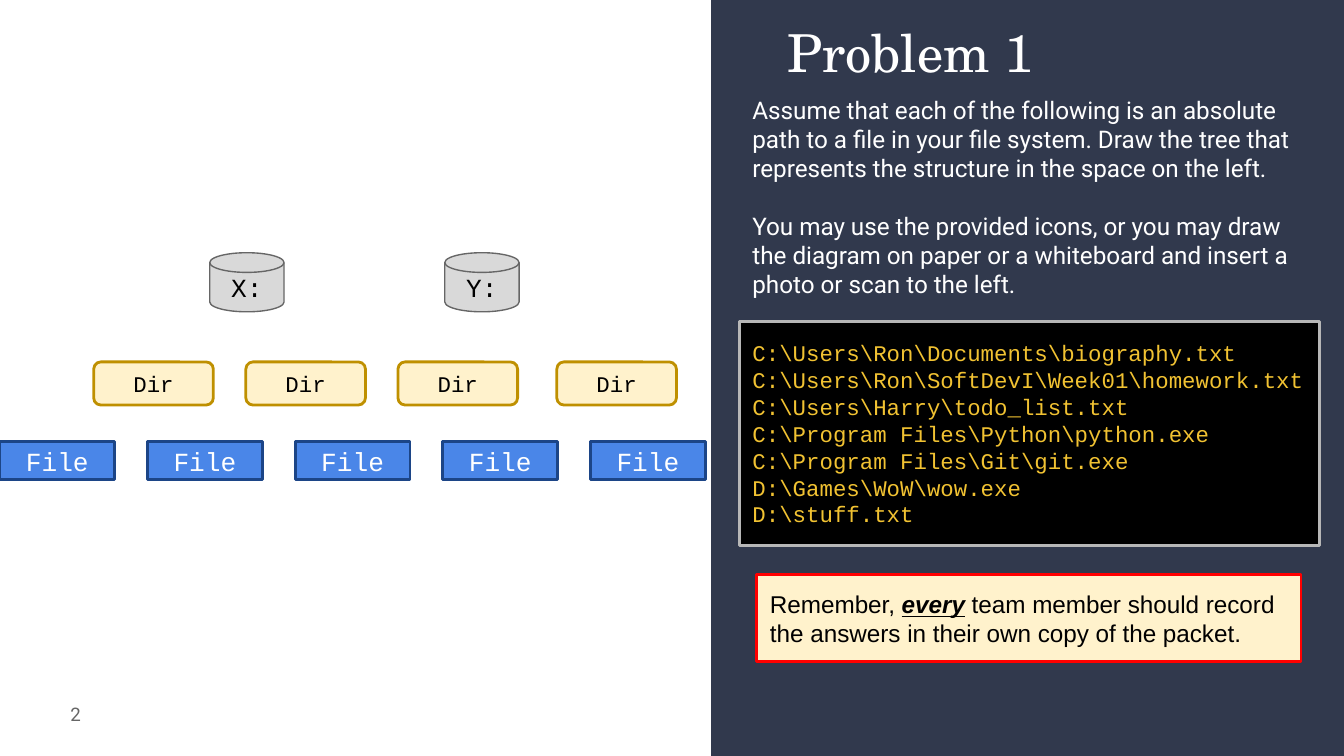
from pptx import Presentation
from pptx.dml.color import RGBColor
from pptx.enum.shapes import MSO_SHAPE
from pptx.enum.text import MSO_ANCHOR, MSO_AUTO_SIZE, PP_ALIGN
from pptx.util import Pt

RECT = MSO_SHAPE.RECTANGLE
ROUND = MSO_SHAPE.ROUNDED_RECTANGLE
DISK = MSO_SHAPE.FLOWCHART_MAGNETIC_DISK
TOP, MID = MSO_ANCHOR.TOP, MSO_ANCHOR.MIDDLE
LEFT, CENTER, RIGHT = PP_ALIGN.LEFT, PP_ALIGN.CENTER, PP_ALIGN.RIGHT
FIXED = MSO_AUTO_SIZE.NONE

WHITE = RGBColor(0xFF, 0xFF, 0xFF)
BLACK = RGBColor(0, 0, 0)
NAVY = RGBColor(0x31, 0x39, 0x4D)
GREY = RGBColor(0x66, 0x66, 0x66)
SILVER = RGBColor(0xB7, 0xB7, 0xB7)
PALE = RGBColor(0xD9, 0xD9, 0xD9)
CREAM = RGBColor(0xFF, 0xF2, 0xCC)
GOLD = RGBColor(0xBF, 0x90, 0x00)
AMBER = RGBColor(0xF1, 0xC2, 0x32)
RED = RGBColor(0xFF, 0, 0)
BLUE = RGBColor(0x4A, 0x86, 0xE8)
DEEP = RGBColor(0x1C, 0x45, 0x87)

SERIF, SANS, ARIAL, MONO = "TeX Gyre Schola", "Roboto", "Arial", "Courier New"
STRONG = {"bold": True, "italic": True, "underline": True}

INTRO = [
    "Assume that each of the following is an absolute path to a file in your "
    "file system. Draw the tree that represents the structure in the space "
    "on the left.",
    "You may use the provided icons, or you may draw the diagram on paper or "
    "a whiteboard and insert a photo or scan to the left.",
]
PATHS = [
    r"C:\Users\Ron\Documents\biography.txt",
    r"C:\Users\Ron\SoftDevI\Week01\homework.txt",
    r"C:\Users\Harry\todo_list.txt",
    r"C:\Program Files\Python\python.exe",
    r"C:\Program Files\Git\git.exe",
    r"D:\Games\WoW\wow.exe",
    r"D:\stuff.txt",
]
NOTE = [[
    ("Remember, ", {}),
    ("every", STRONG),
    (" team member should record the answers in their own copy of the packet.", {}),
]]


class Deck:
    inset = Pt(7.2)
    lead = 1.2

    def __init__(self, wide, high):
        self.prs = Presentation()
        self.prs.slide_width, self.prs.slide_height = Pt(wide), Pt(high)
        self.slide = self.prs.slides.add_slide(self.prs.slide_layouts[5])

    def label(self, shape, paras, font, size, color, align=LEFT, anchor=MID, gap=0):
        """Fill a shape with paragraphs, each a string or a list of (text, format)."""
        frame = shape.text_frame
        look = {
            "word_wrap": True, "auto_size": FIXED, "vertical_anchor": anchor,
            "margin_left": self.inset, "margin_right": self.inset,
            "margin_top": self.inset, "margin_bottom": self.inset,
        }
        for key, value in look.items():
            setattr(frame, key, value)
        for i, para in enumerate(paras):
            line = frame.add_paragraph() if i else frame.paragraphs[0]
            line.alignment = align
            if i and gap:
                line.space_before = Pt(gap)
            if anchor == MID and align == LEFT:
                line.line_spacing = Pt(size * self.lead)
            for text, extra in [(para, {})] if isinstance(para, str) else para:
                run = line.add_run()
                run.text = text
                run.font.color.rgb = color
                for key, value in {"name": font, "size": Pt(size), **extra}.items():
                    setattr(run.font, key, value)

    def title(self, box, text, *style):
        shape = self.slide.shapes.title
        for key, value in zip(("left", "top", "width", "height"), box):
            setattr(shape, key, Pt(value))
        self.label(shape, [text], *style, anchor=TOP)

    def text(self, box, paras, *style, **more):
        shape = self.slide.shapes.add_textbox(*map(Pt, box))
        self.label(shape, paras, *style, **more)

    def shape(self, kind, box, fill, edge=None, width=1.5):
        shape = self.slide.shapes.add_shape(kind, *map(Pt, box))
        shape.shadow.inherit = False
        shape.fill.solid()
        shape.fill.fore_color.rgb = fill
        if edge is None:
            shape.line.fill.background()
        else:
            shape.line.color.rgb = edge
            shape.line.width = Pt(width)
        return shape

    def panel(self, box, fill):
        """Add a plain shape behind everything else."""
        item = self.shape(RECT, box, fill).element
        item.getparent().insert(2, item)

    def icon(self, kind, box, text, size, ink, *paint):
        self.label(self.shape(kind, box, *paint), [text], MONO, size, ink, CENTER)


def main():
    deck = Deck(720, 405)
    deck.panel((381, 0, 339, 405), NAVY)
    deck.title((414.7, 3.6, 291.6, 50.4), "Problem 1", SERIF, 28, WHITE)
    deck.text((396, 54, 311, 103), INTRO, SANS, 13, WHITE, gap=15.6)
    code = deck.shape(RECT, (396, 172.1, 311, 120.2), BLACK, SILVER)
    deck.label(code, PATHS, MONO, 12, AMBER)
    note = deck.shape(RECT, (405.4, 308, 291.6, 46.6), CREAM, RED)
    deck.label(note, NOTE, ARIAL, 13, BLACK)

    for left, drive in ((112.4, "X:"), (238.3, "Y:")):
        deck.icon(DISK, (left, 135.4, 39.8, 31.7), drive, 14, BLACK, PALE, GREY, 0.75)
    for left in (50.2, 131.7, 213.2, 298.3):
        deck.icon(ROUND, (left, 193.9, 64.1, 23.1), "Dir", 12, BLACK, CREAM, GOLD)
    for i in range(5):
        deck.icon(RECT, (79.1 * i, 236.7, 61.5, 20.2), "File", 14, WHITE, BLUE, DEEP)

    deck.text((7.2, 367.2, 43.2, 31), ["2"], SANS, 10, GREY, align=RIGHT)
    deck.prs.save("out.pptx")


if __name__ == "__main__":
    main()
